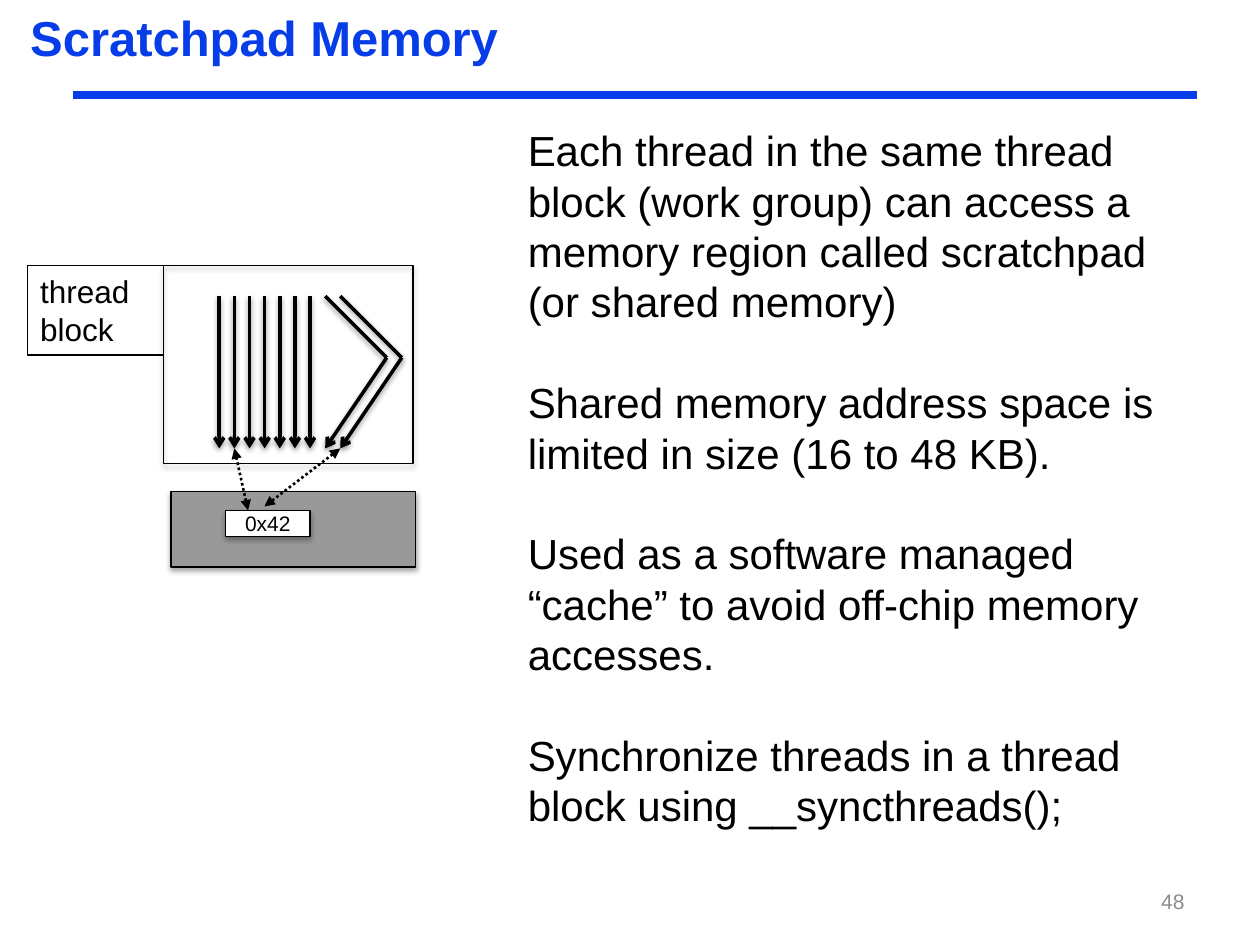
from lxml.etree import SubElement
from pptx import Presentation
from pptx.dml.color import RGBColor
from pptx.enum.dml import MSO_LINE
from pptx.enum.shapes import MSO_CONNECTOR, MSO_SHAPE
from pptx.enum.text import MSO_ANCHOR, PP_ALIGN
from pptx.oxml.ns import qn
from pptx.util import Cm, Pt

BLUE = RGBColor(0x06, 0x3D, 0xE8)
BLACK = RGBColor(0x00, 0x00, 0x00)
WHITE = RGBColor(0xFF, 0xFF, 0xFF)
GRAY = RGBColor(0x99, 0x99, 0x99)
PALE_GRAY = RGBColor(0x8C, 0x8C, 0x8C)


class SlideBuilder:
    """Holds the style and the current slide; one method per kind of element."""

    font_name = "Arial"

    def __init__(self, slide):
        self.slide = slide

    def add_effects(self, shape, opacity=None):
        """Give a shape an explicit effect list, with a soft shadow if asked."""
        properties = shape._element.spPr
        for old in properties.findall(qn("a:effectLst")):
            properties.remove(old)
        effect_list = SubElement(properties, qn("a:effectLst"))
        if opacity:
            shadow = SubElement(effect_list, qn("a:outerShdw"), blurRad="40000",
                                dist="22000", dir="5400000", rotWithShape="0")
            color = SubElement(shadow, qn("a:srgbClr"), val="000000")
            SubElement(color, qn("a:alpha"), val=str(opacity * 1000))

    def fill_text(self, shape, paragraphs, size, color=BLACK, bold=False,
                  frame_format=None, para_format=None):
        frame = shape.text_frame
        settings = {"word_wrap": True, "vertical_anchor": MSO_ANCHOR.TOP}
        for name, value in (settings | (frame_format or {})).items():
            setattr(frame, name, value)
        for index, text in enumerate(paragraphs):
            para = frame.add_paragraph() if index else frame.paragraphs[0]
            settings = {"alignment": PP_ALIGN.LEFT}
            for name, value in (settings | (para_format or {})).items():
                setattr(para, name, value)
            span = para.add_run()
            span.text = text
            font = {"name": self.font_name, "size": Pt(size), "bold": bold}
            for name, value in font.items():
                setattr(span.font, name, value)
            span.font.color.rgb = color

    def text(self, place, paragraphs, size, **style):
        box = self.slide.shapes.add_textbox(*map(Cm, place))
        self.fill_text(box, paragraphs, size, **style)

    def rectangle(self, place, fill=None, width=0.75, shadow=35):
        box = self.slide.shapes.add_shape(MSO_SHAPE.RECTANGLE, *map(Cm, place))
        if fill is None:
            box.fill.background()
        else:
            box.fill.solid()
            box.fill.fore_color.rgb = fill
        box.line.color.rgb = BLACK
        box.line.width = Pt(width)
        self.add_effects(box, shadow)
        return box

    def line(self, start, end, width=2, color=BLACK, head=None, tail=None,
             dash=None, shadow=None):
        connector = self.slide.shapes.add_connector(
            MSO_CONNECTOR.STRAIGHT, *map(Cm, start + end))
        connector.line.color.rgb = color
        connector.line.width = Pt(width)
        if dash:
            connector.line.dash_style = dash
        outline = connector.line._get_or_add_ln()
        for tag, kind in (("a:headEnd", head), ("a:tailEnd", tail)):
            if kind:
                SubElement(outline, qn(tag), type=kind)
        self.add_effects(connector, shadow)


def main():
    deck = Presentation()
    deck.slide_width, deck.slide_height = Cm(25.4), Cm(19.05)
    page = SlideBuilder(deck.slides.add_slide(deck.slide_layouts[6]))

    # Title, rule and page number
    page.line((1.48, 1.91), (24.13, 1.91), width=4.5, color=BLUE)
    page.text((0.43, 0.23, 22.86, 1.19), ["Scratchpad Memory"], 28, color=BLUE,
              bold=True, para_format={"line_spacing": 0.87},
              frame_format={"margin_left": Cm(0.18), "margin_right": Cm(0.18),
                            "margin_top": Cm(0.08), "margin_bottom": Cm(0.08)})
    page.text((18.21, 17.65, 5.92, 1.02), ["48"], 12, color=PALE_GRAY,
              frame_format={"vertical_anchor": MSO_ANCHOR.MIDDLE},
              para_format={"alignment": PP_ALIGN.RIGHT})

    # Explanation
    page.text((10.39, 2.39, 13.97, 14.63), [
        "Each thread in the same thread block (work group) can access a "
        "memory region called scratchpad (or shared memory)",
        "Shared memory address space is limited in size (16 to 48 KB).",
        "Used as a software managed “cache” to avoid off-chip memory accesses.",
        "Synchronize threads in a thread block using __syncthreads();",
    ], 24, para_format={"space_after": Pt(28.8)})

    # Threads: seven straight ones, then two that diverge
    first_x, pitch, top, bend, bottom = 4.42, 0.305, 5.97, 7.21, 9.04
    thread_x = [first_x + pitch * index for index in range(9)]
    for x in thread_x[:7]:
        page.line((x, top), (x, bottom), tail="arrow", shadow=38)
    for x in thread_x[7:]:
        corner = (x + 1.24, bend)
        page.line(corner, (x, bottom), tail="arrow", shadow=38)
        page.line((x, top), corner, shadow=38)

    # Thread block and its label
    page.rectangle((3.3, 5.36, 5.03, 3.99))
    label = page.rectangle((0.56, 5.36, 2.74, 1.8), shadow=None)
    page.fill_text(label, ["thread block"], 18)

    # Scratchpad with the shared address
    page.rectangle((3.45, 9.91, 4.93, 1.52), fill=GRAY, width=1)
    for start, x in (((5, 10.29), thread_x[1]), ((5.33, 10.21), thread_x[8])):
        page.line(start, (x, bottom), width=1.5, head="triangle",
                  tail="triangle", dash=MSO_LINE.ROUND_DOT)
    address = page.rectangle((4.55, 10.29, 1.7, 0.53), fill=WHITE)
    page.fill_text(address, ["0x42"], 12,
                   para_format={"alignment": PP_ALIGN.CENTER},
                   frame_format={"vertical_anchor": MSO_ANCHOR.MIDDLE,
                                 "margin_top": 0, "margin_bottom": 0})

    deck.save("out.pptx")


if __name__ == "__main__":
    main()
